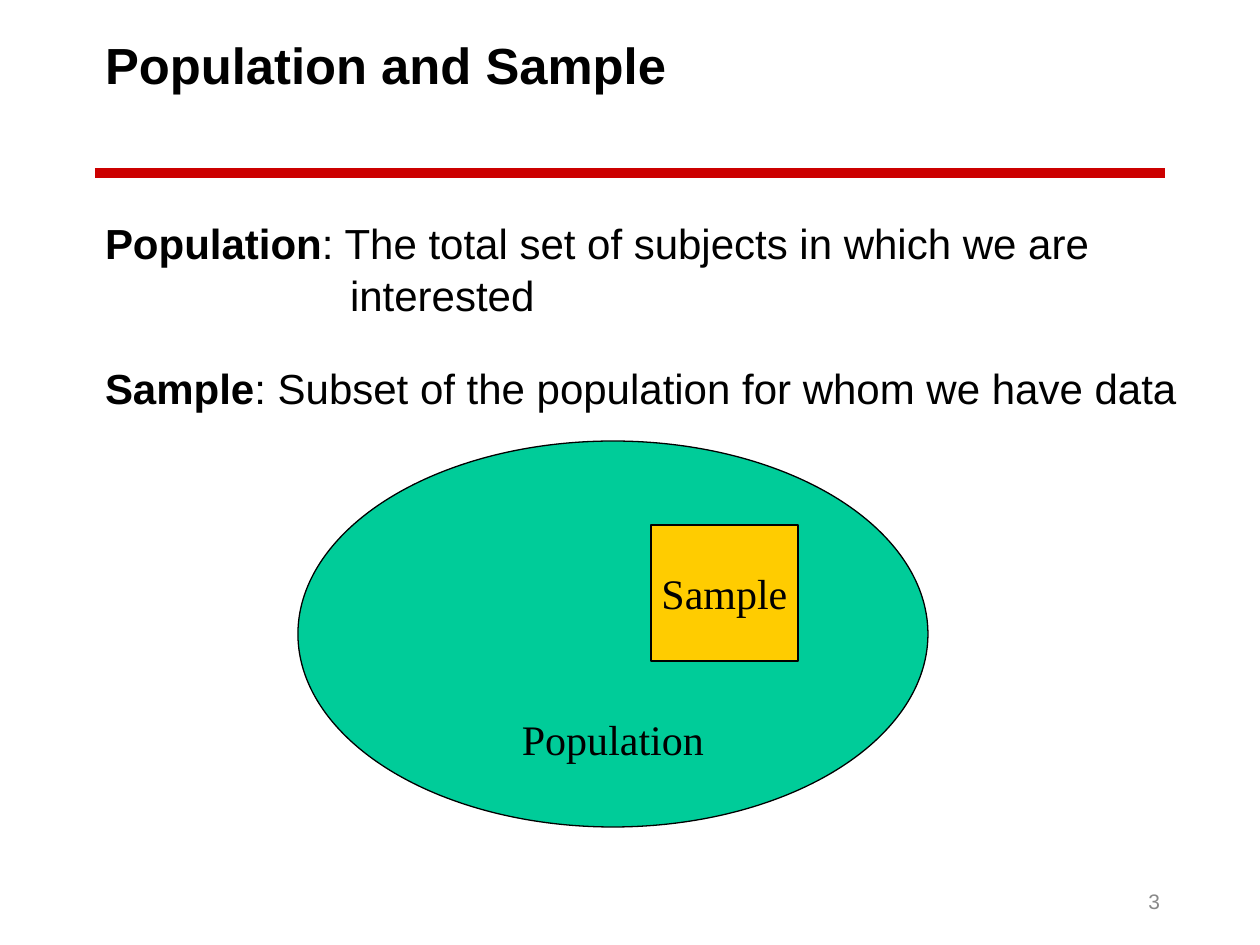
from dataclasses import dataclass

from pptx import Presentation
from pptx.dml.color import RGBColor
from pptx.enum.shapes import MSO_CONNECTOR, MSO_SHAPE
from pptx.enum.text import MSO_ANCHOR as Anchor, PP_ALIGN as Align
from pptx.oxml.ns import qn
from pptx.util import Emu, Pt
from lxml.etree import SubElement

PX_PER_INCH = 126


def px(length):
    return Emu(round(length * 914400 / PX_PER_INCH))


@dataclass(frozen=True)
class Theme:
    ink: str = "000000"
    rule: str = "CC0000"
    population: str = "00CC99"
    sample: str = "FFCC00"
    muted: str = "898989"
    sans: str = "Arial"
    serif: str = "Times New Roman"
    title_size: int = 29
    body_size: int = 24
    number_size: int = 12
    rule_width: float = 6
    outline_width: float = 0.75


class SlideBuilder:
    def __init__(self, slide, theme):
        self.slide = slide
        self.theme = theme

    def run(self, paragraph, text, size, color, font, bold=False):
        run = paragraph.add_run()
        run.text = text
        run.font.size = Pt(size)
        run.font.name = font
        run.font.bold = bold
        run.font.color.rgb = RGBColor.from_string(color)

    def text_box(self, left, top, width, height, anchor=Anchor.TOP, side_inset=0):
        """Add a wrapping text box and return its text frame."""
        box = self.slide.shapes.add_textbox(px(left), px(top), px(width), px(height))
        frame = box.text_frame
        frame.word_wrap = True
        frame.vertical_anchor = anchor
        frame.margin_left = frame.margin_right = px(side_inset)
        return frame

    def title(self, text, *bounds):
        theme = self.theme
        frame = self.text_box(*bounds, anchor=Anchor.BOTTOM)
        self.run(frame.paragraphs[0], text, theme.title_size, theme.ink, theme.sans, True)

    def definitions(self, lines, *bounds):
        """Write lines given as (term, text, indent, space before)."""
        theme = self.theme
        frame = self.text_box(*bounds)
        for index, (term, text, indent, space_before) in enumerate(lines):
            paragraph = frame.add_paragraph() if index else frame.paragraphs[0]
            paragraph.line_spacing = 0.8
            paragraph.space_before = Pt(space_before)
            paragraph._p.get_or_add_pPr().set("marL", str(px(indent)))
            if term:
                self.run(paragraph, term, theme.body_size, theme.ink, theme.sans, True)
            self.run(paragraph, text, theme.body_size, theme.ink, theme.sans)

    def rule(self, left, right, y):
        line = self.slide.shapes.add_connector(
            MSO_CONNECTOR.STRAIGHT, px(left), px(y), px(right), px(y))
        line.line.color.rgb = RGBColor.from_string(self.theme.rule)
        line.line.width = Pt(self.theme.rule_width)
        SubElement(line._element.spPr, qn("a:effectLst"))

    def labelled_shape(self, kind, label, fill, anchor, *bounds):
        theme = self.theme
        shape = self.slide.shapes.add_shape(kind, *map(px, bounds))
        shape.shadow.inherit = False
        shape.fill.solid()
        shape.fill.fore_color.rgb = RGBColor.from_string(fill)
        shape.line.color.rgb = RGBColor.from_string(theme.ink)
        shape.line.width = Pt(theme.outline_width)
        frame = shape.text_frame
        frame.word_wrap = False
        frame.vertical_anchor = anchor
        paragraph = frame.paragraphs[0]
        paragraph.alignment = Align.CENTER
        self.run(paragraph, label, theme.body_size, theme.ink, theme.serif)

    def page_number(self, number, *bounds):
        theme = self.theme
        frame = self.text_box(*bounds, anchor=Anchor.MIDDLE, side_inset=13)
        paragraph = frame.paragraphs[0]
        paragraph.alignment = Align.RIGHT
        self.run(paragraph, number, theme.number_size, theme.muted, theme.sans)


def main():
    presentation = Presentation()
    presentation.slide_width = px(1260)
    presentation.slide_height = px(945)
    theme = Theme()
    builder = SlideBuilder(
        presentation.slides.add_slide(presentation.slide_layouts[6]), theme)

    builder.rule(95, 1165, 173)
    builder.definitions([
        ("Population", ": The total set of subjects in which we are", 0, 7),
        ("", "interested", 245, 7),
        ("Sample", ": Subset of the population for whom we have data", 0, 30),
    ], 105, 221, 1155, 617)
    builder.title("Population and Sample", 105, 10, 1092, 91)
    builder.labelled_shape(MSO_SHAPE.OVAL, "Population", theme.population,
                           Anchor.BOTTOM, 298, 441, 630, 386)
    builder.labelled_shape(MSO_SHAPE.RECTANGLE, "Sample", theme.sample,
                           Anchor.MIDDLE, 651, 525, 147, 136)
    builder.page_number("3", 890, 876, 283, 50)
    presentation.save("out.pptx")


if __name__ == "__main__":
    main()
